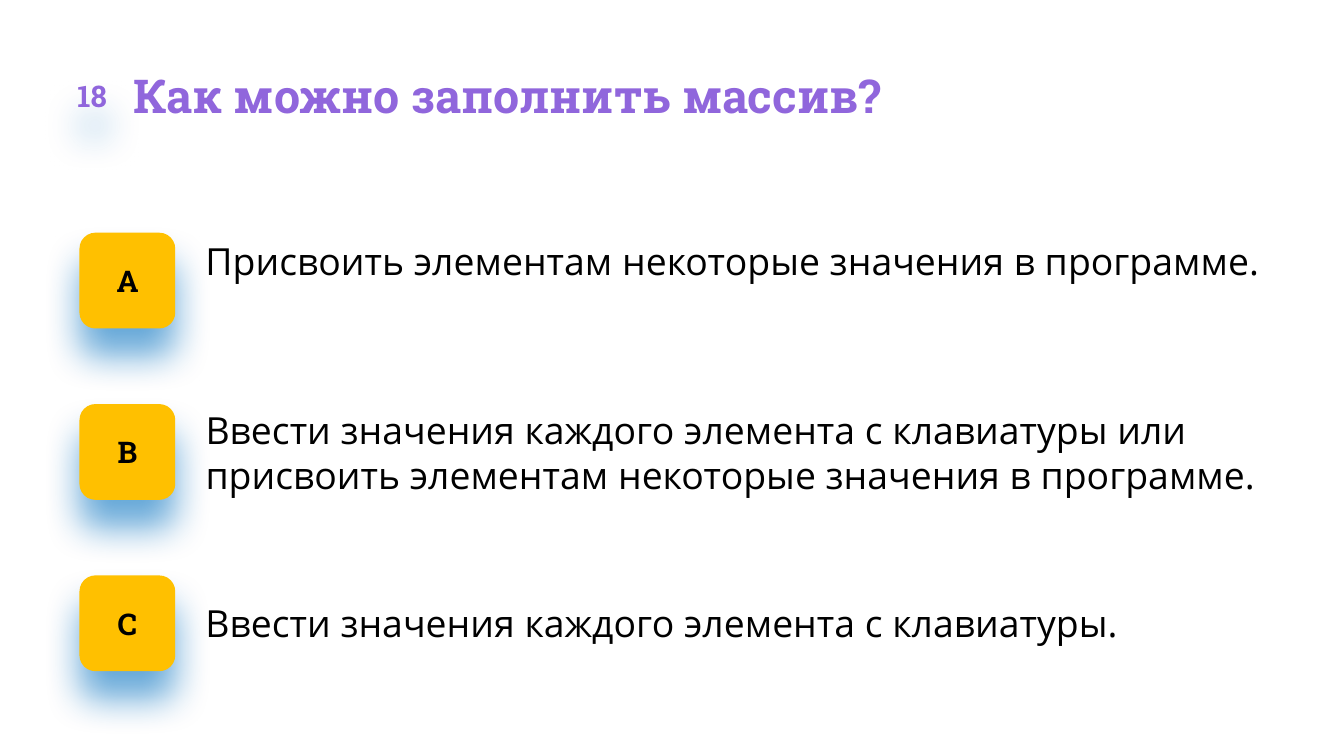
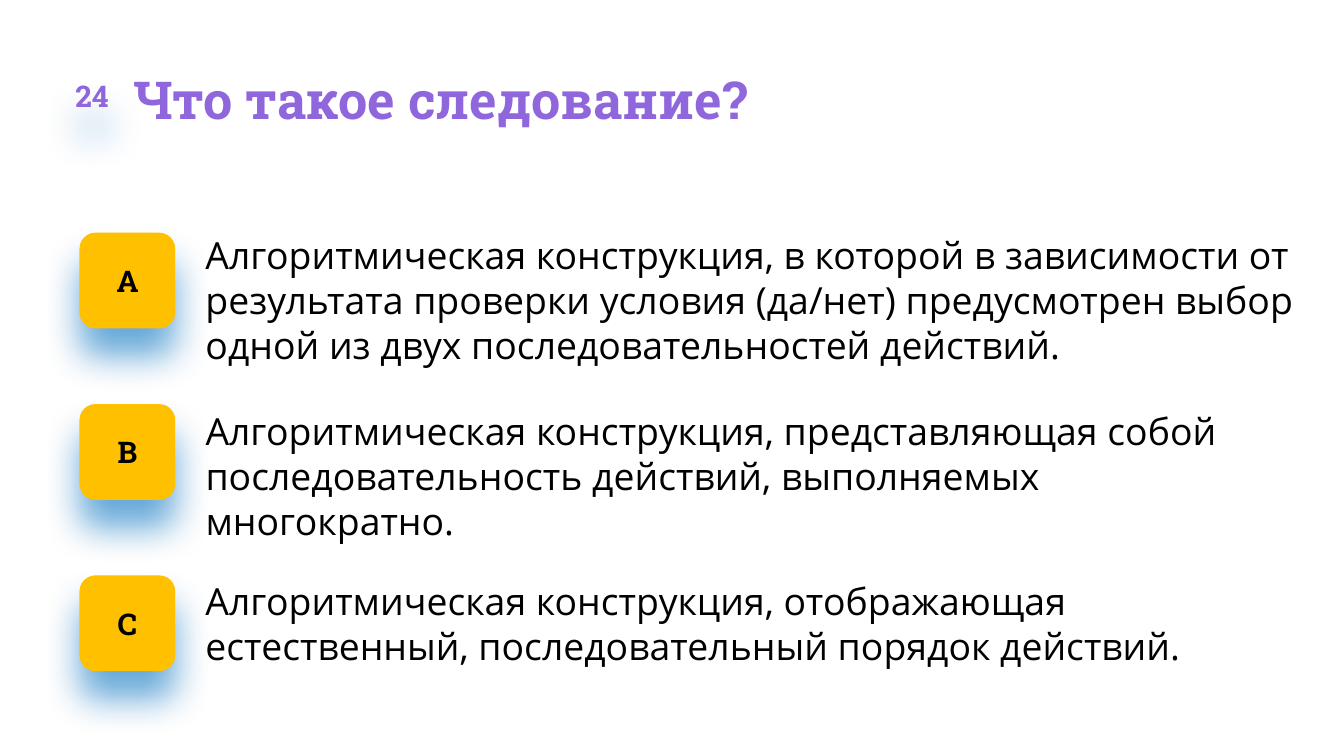
import pptx
import pptx.util
import pptx.dml.color
import pptx.enum.shapes
import pptx.enum.text
import pptx.oxml
import pptx.oxml.ns

Pt = pptx.util.Pt
COLORS = {"title": "9066DC", "badge": "FFC000", "shadow": "0070C0", "text": "000000"}
HEADING_FONT, BODY_FONT = "Roboto Slab", "Open Sans"
BADGE_LEFT, BADGE_TOP, BADGE_SIZE, BADGE_STEP = 42.6, 124.7, 51.3, 91.8
ANSWER_LEFT, LINE_HEIGHT = 100.1, 24.2
LETTERS = ["А", "B", "C"]

# Each answer: top, width, number of lines, wording
QUESTIONS = [
    (18, "Как можно заполнить массив?", 25, [
        (127.4, 597.6, 1, "Присвоить элементам некоторые значения в программе."),
        (218.2, 577.4, 2, "Ввести значения каждого элемента с клавиатуры или "
                          "присвоить элементам некоторые значения в программе."),
        (321.8, 506.2, 1, "Ввести значения каждого элемента с клавиатуры."),
    ]),
    (24, "Что такое следование?", 28, [
        (124.6, 597.6, 3, "Алгоритмическая конструкция, в которой в зависимости от "
                          "результата проверки условия (да/нет) предусмотрен выбор "
                          "одной из двух последовательностей действий."),
        (218.9, 577.4, 3, "Алгоритмическая конструкция, представляющая собой "
                          "последовательность действий, выполняемых многократно."),
        (309.6, 597.6, 2, "Алгоритмическая конструкция, отображающая "
                          "естественный, последовательный порядок действий."),
    ]),
]


def write(shape, text, font, size, color, bold=False, inset=0):
    frame = shape.text_frame
    frame.word_wrap = True
    frame.margin_left = Pt(inset)
    frame.margin_top = frame.margin_right = frame.margin_bottom = 0
    frame.text = text
    paragraph = frame.paragraphs[0]
    paragraph.font.name = font
    paragraph.font.size = Pt(size)
    paragraph.font.bold = bold
    paragraph.font.color.rgb = pptx.dml.color.RGBColor.from_string(COLORS[color])
    return frame, paragraph


def add_badge(slide, left, top, size, text, color, fill=None):
    """Add a rounded square with centred text and a soft shadow below it."""
    badge = slide.shapes.add_shape(
        pptx.enum.shapes.MSO_SHAPE.ROUNDED_RECTANGLE, Pt(left), Pt(top), Pt(size), Pt(size))
    if fill:
        badge.fill.solid()
        badge.fill.fore_color.rgb = pptx.dml.color.RGBColor.from_string(COLORS[fill])
    else:
        badge.fill.background()
    badge.line.fill.background()
    badge._element.spPr.append(pptx.oxml.parse_xml(
        f'<a:effectLst {pptx.oxml.ns.nsdecls("a")}>'
        f'<a:outerShdw blurRad="{Pt(20)}" dist="{Pt(15)}" dir="5400000" rotWithShape="0">'
        f'<a:srgbClr val="{COLORS["shadow"]}"><a:alpha val="60000"/></a:srgbClr>'
        '</a:outerShdw></a:effectLst>'))
    frame, paragraph = write(badge, text, HEADING_FONT, 16, color, bold=True)
    frame.vertical_anchor = pptx.enum.text.MSO_ANCHOR.MIDDLE
    paragraph.alignment = pptx.enum.text.PP_ALIGN.CENTER


deck = pptx.Presentation()
deck.slide_width, deck.slide_height = Pt(720), Pt(405)

for number, question, title_size, answers in QUESTIONS:
    slide = deck.slides.add_slide(deck.slide_layouts[5])

    title = slide.shapes.title
    title.left, title.top = Pt(71.4), Pt(33.8)
    title.width, title.height = Pt(634.3), Pt(title_size * 1.21)
    frame, paragraph = write(title, question, HEADING_FONT, title_size, "title", bold=True)
    frame.vertical_anchor = pptx.enum.text.MSO_ANCHOR.TOP
    frame.auto_size = pptx.enum.text.MSO_AUTO_SIZE.SHAPE_TO_FIT_TEXT
    paragraph.alignment = pptx.enum.text.PP_ALIGN.LEFT
    paragraph.line_spacing = 1.06

    add_badge(slide, 28.1, 29.8, 42.5, str(number), "title")

    for row, letter in enumerate(LETTERS):
        add_badge(slide, BADGE_LEFT, BADGE_TOP + row * BADGE_STEP, BADGE_SIZE,
                  letter, "text", fill="badge")

    for top, width, lines, wording in answers:
        answer = slide.shapes.add_textbox(
            Pt(ANSWER_LEFT), Pt(top), Pt(width), Pt(lines * LINE_HEIGHT))
        frame, paragraph = write(answer, wording, BODY_FONT, 20, "text", inset=10)
        frame.auto_size = pptx.enum.text.MSO_AUTO_SIZE.SHAPE_TO_FIT_TEXT

deck.save("out.pptx")
